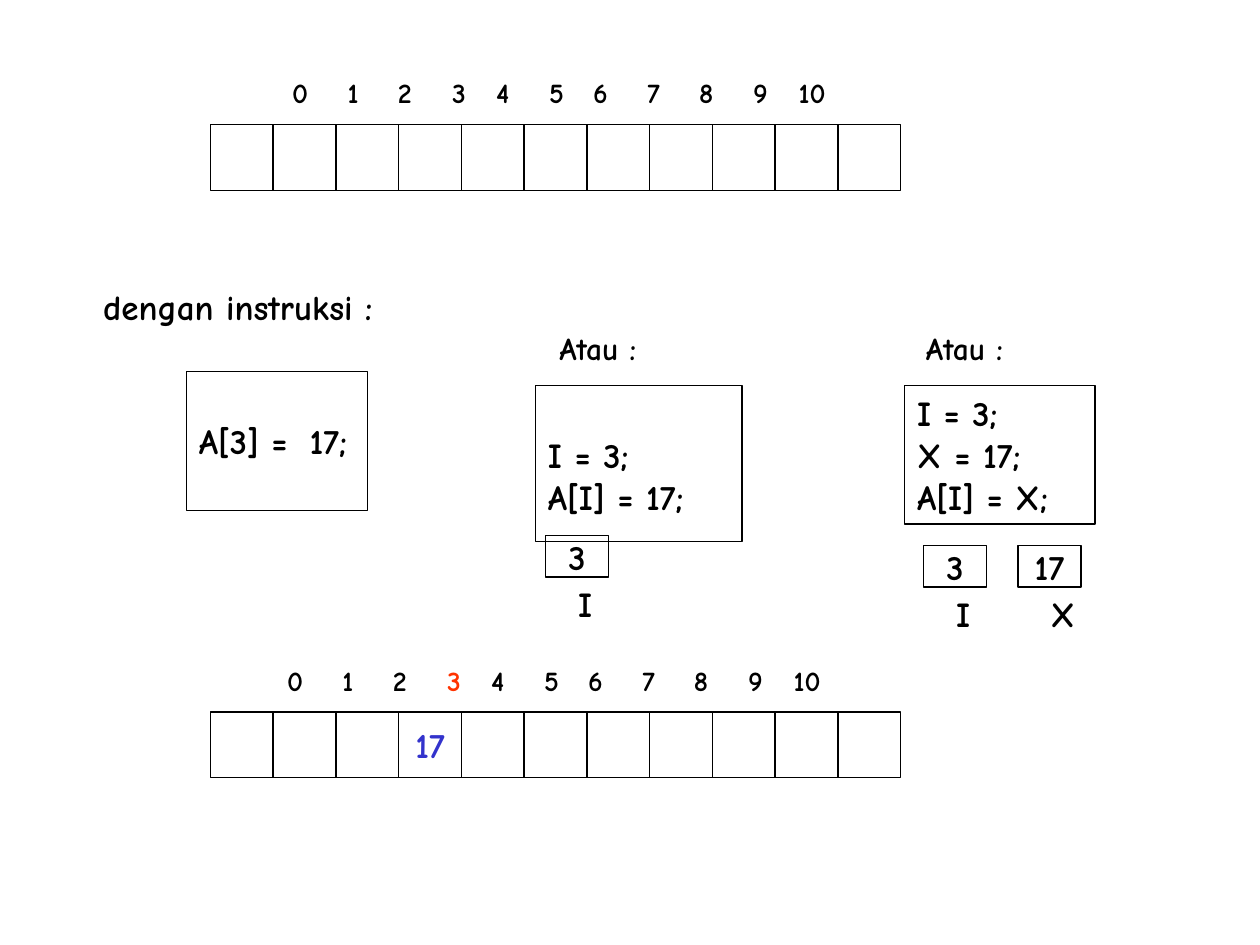
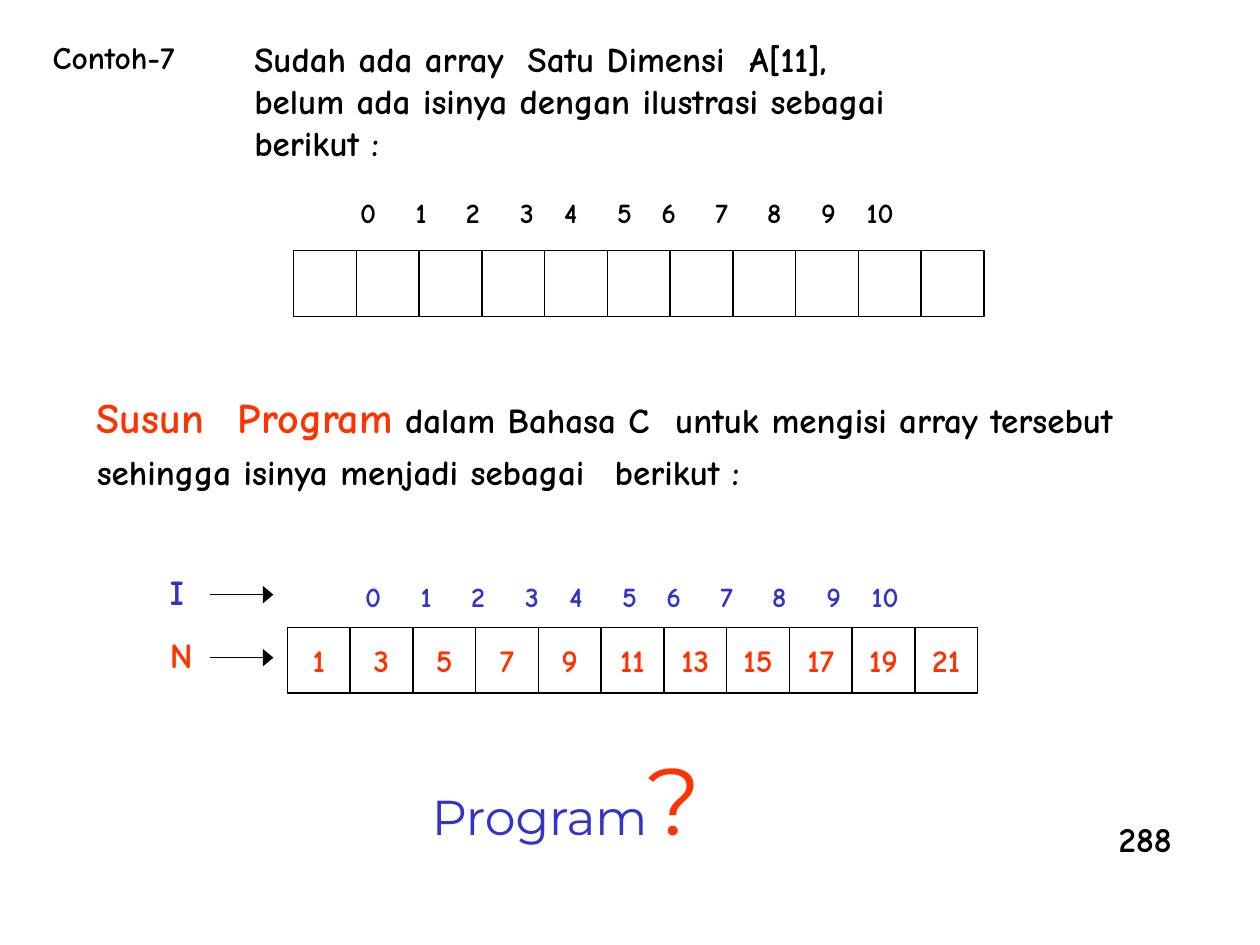
from lxml import etree
from pptx import Presentation
from pptx import util as u
from pptx.dml import color
from pptx.enum import shapes as kinds, text as texts
from pptx.oxml import ns

BLACK = color.RGBColor(0x00, 0x00, 0x00)
BLUE = color.RGBColor(0x33, 0x33, 0xCC)
RED = color.RGBColor(0xFF, 0x33, 0x00)
BASE_FORMAT = {"name": "Comic Neue", "size": 20, "bold": True, "color": BLACK}
CELL_COUNT = 11
CELL_PITCH = 4.98 / 10
CELL_SIZE = (0.5, 0.52)
INDEX_STOPS = (0.44, 0.84, 1.27, 1.62, 2.04, 2.39, 2.82, 3.23, 3.66, 4.02)
INDEX_SIZE = (4.7, 0.37)
CODE_TOP = 0.38


def add_tabs(para, stops):
    tab_list = etree.SubElement(para._p.get_or_add_pPr(), ns.qn("a:tabLst"))
    for stop in stops:
        etree.SubElement(tab_list, ns.qn("a:tab"), pos=str(u.Inches(stop)), algn="l")


def add_span(para, words, **changes):
    span = para.add_run()
    span.text = words
    values = {**BASE_FORMAT, **changes}
    span.font.color.rgb = values.pop("color")
    values["size"] = u.Pt(values["size"])
    for key, value in values.items():
        setattr(span.font, key, value)


def write(box, lines, tabs=(), wrap=False, top=0.05, align=texts.PP_ALIGN.LEFT,
          anchor=texts.MSO_ANCHOR.TOP, **changes):
    frame = box.text_frame
    settings = {"word_wrap": wrap, "vertical_anchor": anchor, "margin_top": u.Inches(top)}
    for key, value in settings.items():
        setattr(frame, key, value)
    for number, line in enumerate(lines):
        para = frame.add_paragraph() if number else frame.paragraphs[0]
        para.alignment = align
        if tabs:
            add_tabs(para, tabs)
        spans = [(line, {})] if isinstance(line, str) else line
        for words, span_changes in spans:
            add_span(para, words, **{**changes, **span_changes})


def add_label(shapes, place, lines, **options):
    box = shapes.add_textbox(*map(u.Inches, place))
    write(box, lines, **options)


def add_frame(shapes, place):
    box = shapes.add_shape(kinds.MSO_SHAPE.RECTANGLE, *map(u.Inches, place))
    box.shadow.inherit = False
    box.fill.background()
    box.line.color.rgb = BLACK
    box.line.width = u.Pt(0.75)
    return box


def add_code(shapes, place, lines, **options):
    write(add_frame(shapes, place), lines, wrap=True, **options)


def add_cell(shapes, place, value="", **changes):
    box = add_frame(shapes, place)
    if value:
        write(box, [value], align=texts.PP_ALIGN.CENTER,
              anchor=texts.MSO_ANCHOR.MIDDLE, **changes)


def add_array(shapes, left, top, values=None, **changes):
    values = values or {}
    for index in range(CELL_COUNT):
        place = (left + index * CELL_PITCH, top, *CELL_SIZE)
        add_cell(shapes, place, values.get(index, ""), **changes)


def add_indexes(shapes, left, top, marked=None, tint=BLACK):
    spans = [("\t" * (index > 0) + str(index), {"color": RED if index == marked else tint})
             for index in range(CELL_COUNT)]
    add_label(shapes, (left, top, *INDEX_SIZE), [spans], tabs=INDEX_STOPS,
              wrap=True, size=16)


def add_variable(shapes, left, top, name, value):
    add_cell(shapes, (left, top, 0.5, 0.33), value)
    add_label(shapes, (left + 0.16, top + 0.32, 0.39, 0.44), [name])


def add_arrow(shapes, left, top, length):
    ends = map(u.Inches, (left, top, left + length, top))
    arrow = shapes.add_connector(kinds.MSO_CONNECTOR.STRAIGHT, *ends)
    arrow.line.color.rgb = BLACK
    arrow.line.width = u.Pt(0.75)
    etree.SubElement(arrow.line._get_or_add_ln(), ns.qn("a:tailEnd"),
                     type="triangle", w="lg", len="med")
    etree.SubElement(arrow._element.spPr, ns.qn("a:effectLst"))


def build_assignment(page):
    shapes = page.shapes
    add_array(shapes, 1.67, 0.99)
    add_indexes(shapes, 2.22, 0.55)
    add_label(shapes, (0.72, 2.22, 2.4, 0.44), ["dengan instruksi :"])
    for left in (4.34, 7.25):
        add_label(shapes, (left, 2.56, 0.85, 0.4), ["Atau :"], size=18)
    add_code(shapes, (1.48, 2.95, 1.44, 1.1), ["A[3] =\t17;"], tabs=[0.88], top=CODE_TOP)
    add_code(shapes, (4.25, 3.06, 1.64, 1.24), ["I = 3;", "A[I] = 17;"], top=CODE_TOP)
    add_code(shapes, (7.18, 3.06, 1.51, 1.1), ["I = 3;", "X = 17;", "A[I] = X;"])
    add_variable(shapes, 4.33, 4.25, "I", "3")
    add_variable(shapes, 7.33, 4.33, "I", "3")
    add_variable(shapes, 8.08, 4.33, "X", "17")
    add_array(shapes, 1.67, 5.65, {3: "17"}, color=BLUE)
    add_indexes(shapes, 2.18, 5.22, marked=3)


def build_exercise(page):
    shapes = page.shapes
    add_label(shapes, (0.32, 0.25, 1.2, 0.4), ["Contoh-7"], size=18)
    add_label(shapes, (1.92, 0.25, 6.03, 1.1),
              ["Sudah ada array\tSatu Dimensi\tA[11],",
               "belum ada isinya dengan ilustrasi sebagai berikut :"],
              tabs=[2.17, 3.93], wrap=True)
    empty_array = shapes.add_group_shape().shapes
    add_array(empty_array, 2.33, 1.99)
    add_indexes(empty_array, 2.76, 1.5)
    task = [("Susun", {"size": 24, "color": RED}),
            ("\t", {"size": 28, "color": RED}),
            ("Program", {"size": 24, "color": RED}),
            (" dalam Bahasa C\tuntuk mengisi array tersebut sehingga isinya menjadi sebagai", {}),
            ("\t", {"size": 24}),
            ("berikut :", {})]
    add_label(shapes, (0.67, 3, 8.92, 0.97), [task], tabs=[1.12, 4.11, 4.59], wrap=True)
    odd_numbers = {index: str(2 * index + 1) for index in range(CELL_COUNT)}
    add_array(shapes, 2.28, 4.98, odd_numbers, size=18, color=RED)
    add_indexes(shapes, 2.8, 4.55, tint=BLUE)
    for name, top, tint in (("I", 4.48, BLUE), ("N", 4.98, RED)):
        add_label(shapes, (1.25, top, 0.4, 0.44), [name], color=tint)
        add_arrow(shapes, 1.67, top + 0.24, 0.5)
    question = [("Program", {"size": 28, "color": BLUE}), ("?", {"size": 54, "color": RED})]
    add_label(shapes, (3.33, 5.83, 2.58, 1), [question], wrap=True,
              name="Montserrat", bold=False)
    add_label(shapes, (8.78, 6.44, 0.8, 0.44), ["288"])


def main():
    deck = Presentation()
    deck.slide_width, deck.slide_height = u.Inches(10), u.Inches(7.5)
    for build in (build_assignment, build_exercise):
        build(deck.slides.add_slide(deck.slide_layouts[6]))
    deck.save("out.pptx")


if __name__ == "__main__":
    main()
